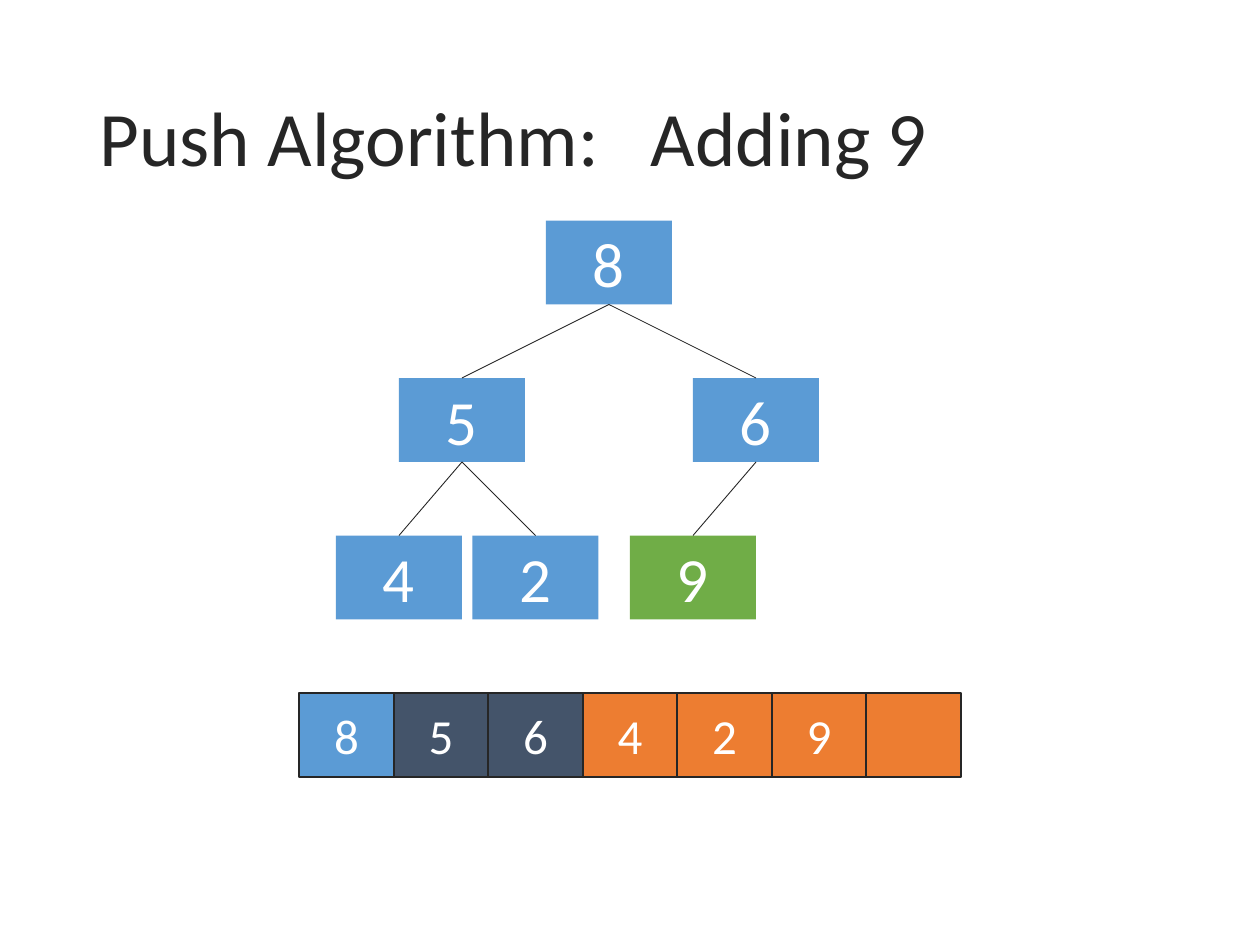
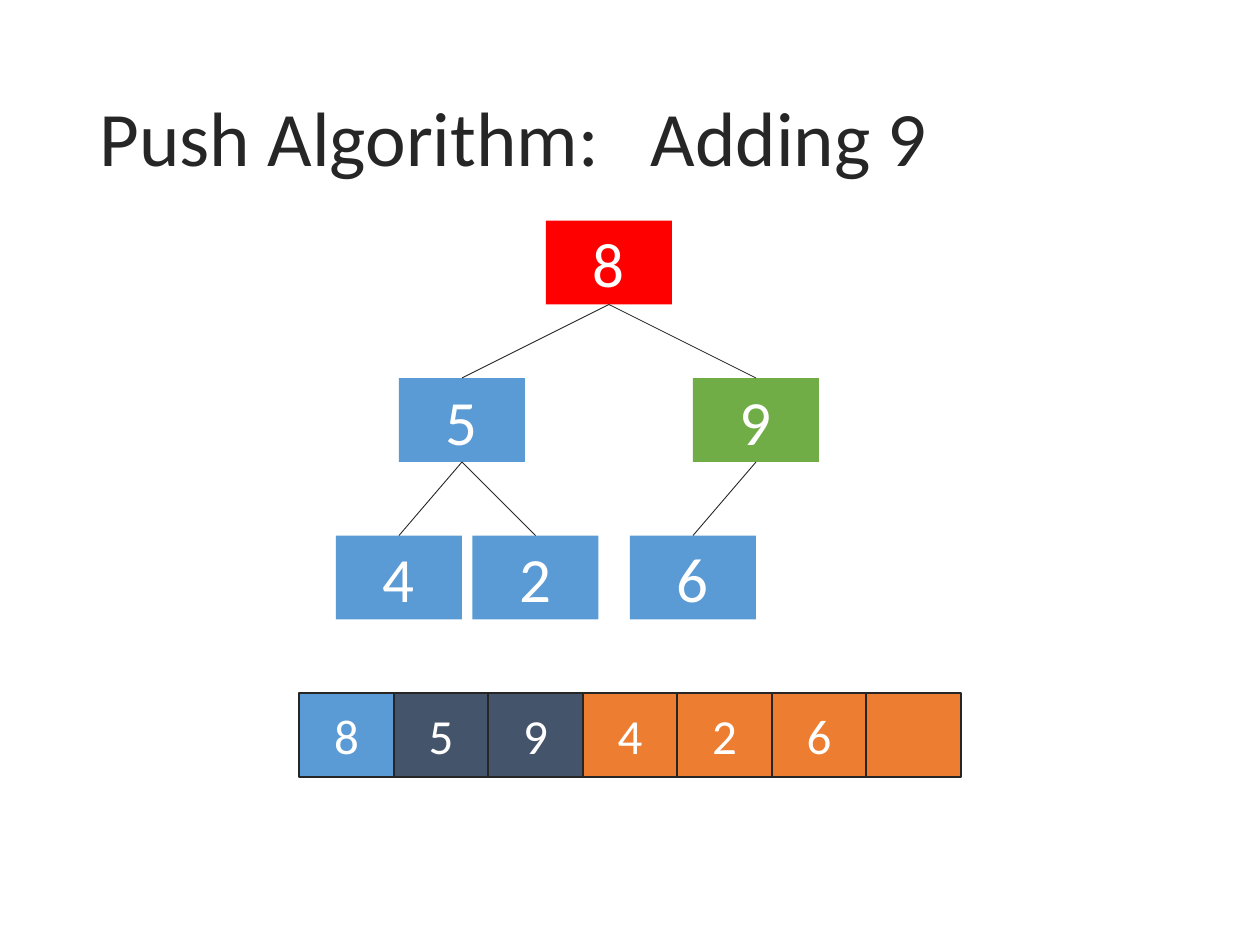
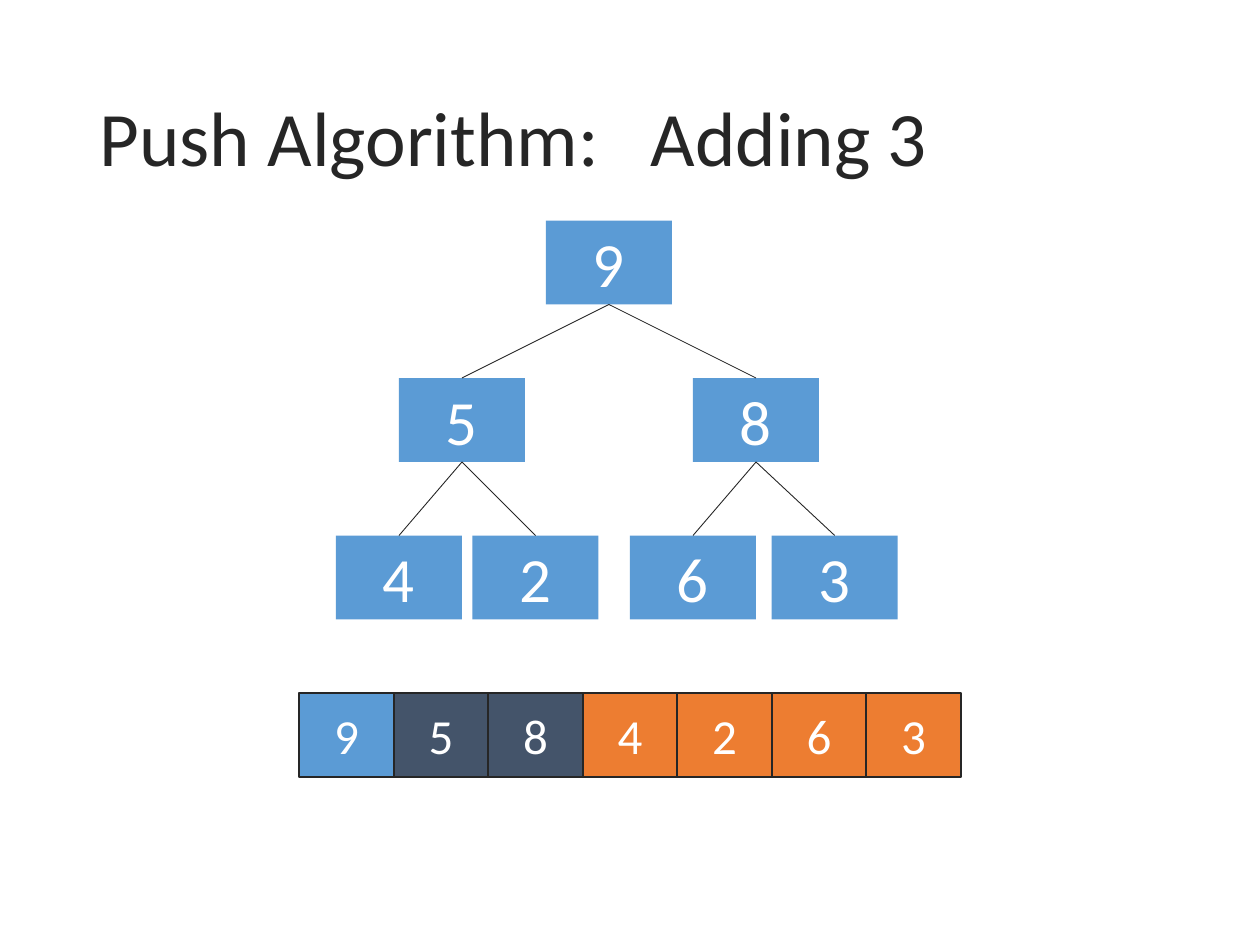
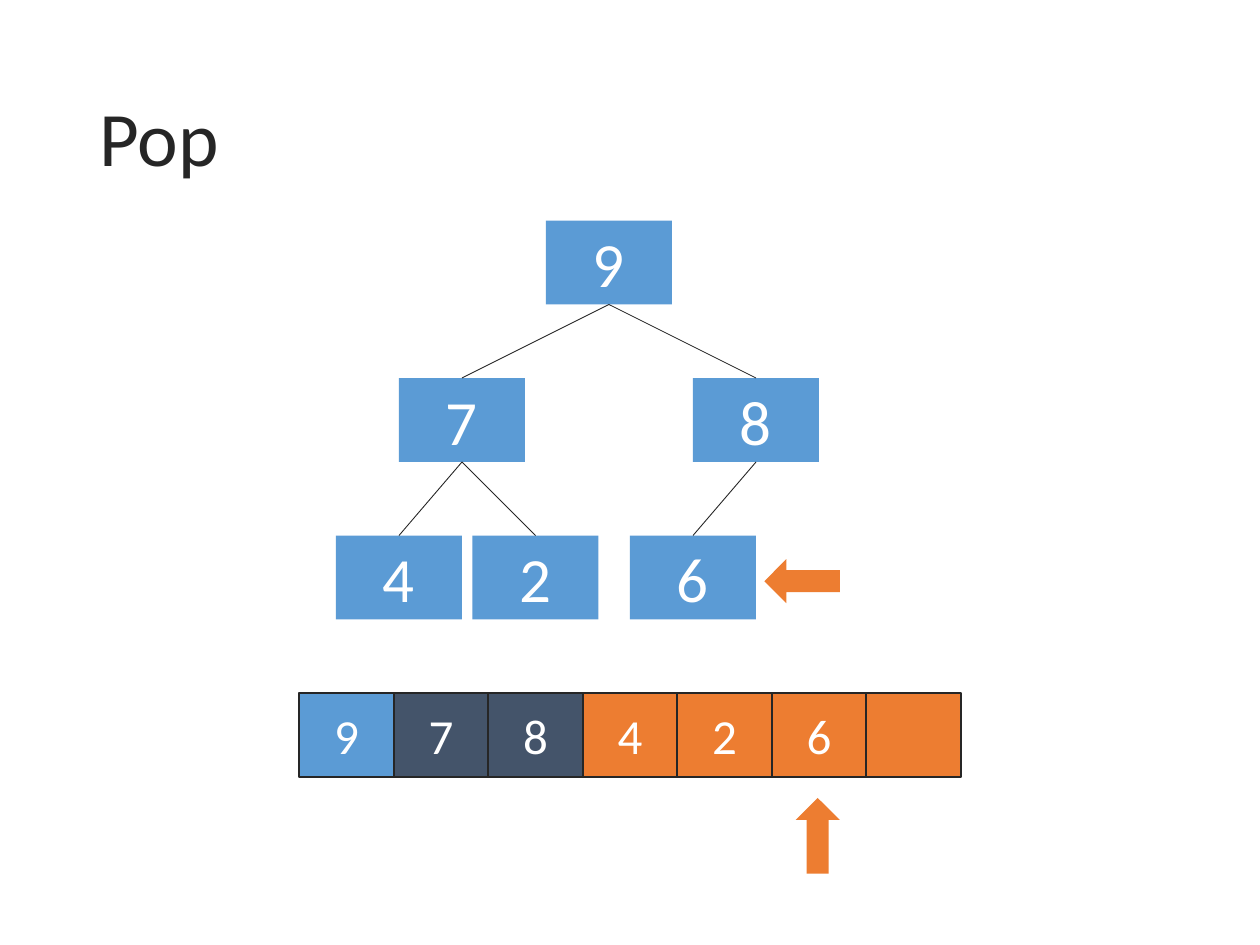
from lxml import etree
from pptx import Presentation
from pptx import util as u
from pptx.dml import color as dml
from pptx.enum import shapes, text
from pptx.oxml import ns

COLORS = {
    "root": "5B9BD5",
    "middle": "44546A",
    "leaf": "ED7D31",
    "added": "70AD47",
    "compared": "FF0000",
    "ink": "262626",
    "digit": "FFFFFF",
}
FONT = "Calibri"
COLUMNS, ROWS = 120, 90
WIDTH, HEIGHT = u.Inches(10), u.Inches(7.5)

TITLE_BOX = (8.28, 4.8, 103.44, 17.4)
TREE_BOX = (32, 21, 53.5, 38)
ARRAY_BOX = (28.5, 66, 63, 8)
NODE_SIZE = (12, 8)
LEVEL_STEP = 15
NODE_COLUMNS = (20, 6, 34, 0, 13, 28, 41.5)
ARROW_SIZE = (4.2, 7.2)
CAPACITY = len(NODE_COLUMNS)

STEPS = [
    {"heading": "Push Algorithm:   Adding 9", "heap": "856429", "marks": {5: "added"}},
    {"heading": "Push Algorithm:   Adding 9", "heap": "859426",
     "marks": {0: "compared", 2: "added"}},
    {"heading": "Push Algorithm:   Adding 3", "heap": "9584263"},
    {"heading": "Pop", "heap": "978426", "pointed": 5},
]


def place(left, top, width, height):
    return (round(WIDTH * left / COLUMNS), round(HEIGHT * top / ROWS),
            round(WIDTH * width / COLUMNS), round(HEIGHT * height / ROWS))


def rgb(name):
    return dml.RGBColor.from_string(COLORS[name])


def level_of(index):
    return (index + 1).bit_length() - 1


def write(holder, content, size=36, color="digit", align=text.PP_ALIGN.CENTER, spacing=None):
    frame = holder.text_frame
    frame.word_wrap = True
    frame.vertical_anchor = text.MSO_ANCHOR.MIDDLE
    paragraph = frame.paragraphs[0]
    paragraph.alignment = align
    paragraph.line_spacing = spacing
    run = paragraph.add_run()
    run.text = content
    run.font.name = FONT
    run.font.size = u.Pt(size)
    run.font.color.rgb = rgb(color)


def block(canvas, box, fill, preset=shapes.MSO_SHAPE.RECTANGLE, outline=None):
    figure = canvas.add_shape(preset, *place(*box))
    figure.shadow.inherit = False
    figure.fill.solid()
    figure.fill.fore_color.rgb = rgb(fill)
    if outline:
        figure.line.color.rgb = rgb("ink")
        figure.line.width = u.Pt(outline)
    else:
        figure.line.fill.background()
    return figure


def branch(canvas, child, parent):
    edge = canvas.add_connector(shapes.MSO_CONNECTOR.STRAIGHT, 0, 0, 0, 0)
    edge.begin_connect(child, 0)
    edge.end_connect(parent, 2)
    edge.line.color.rgb = rgb("ink")
    edge.line.width = u.Pt(0.5)
    properties = edge._element.find(ns.qn("p:spPr"))
    etree.SubElement(properties, ns.qn("a:effectLst"))


def heading(slide, box, content):
    title = slide.shapes.title
    title.left, title.top, title.width, title.height = place(*box)
    write(title, content, size=44, color="ink", align=text.PP_ALIGN.LEFT, spacing=0.9)


def node_box(box, index):
    return (box[0] + NODE_COLUMNS[index], box[1] + LEVEL_STEP * level_of(index), *NODE_SIZE)


def tree(slide, box, heap, marks):
    nodes = []
    for index, value in enumerate(heap):
        node = block(slide.shapes, node_box(box, index), marks.get(index, "root"))
        write(node, value)
        if index:
            branch(slide.shapes, node, nodes[(index - 1) // 2])
        nodes.append(node)


def array(slide, box, heap):
    left, top, width, height = box
    cell_width = width / CAPACITY
    cells = slide.shapes.add_group_shape().shapes
    for index in range(CAPACITY):
        level_color = ("root", "middle", "leaf")[level_of(index)]
        cell = block(cells, (left + index * cell_width, top, cell_width, height),
                     level_color, outline=1)
        if index < len(heap):
            write(cell, heap[index], size=28)


def arrow(slide, center, rotation=0):
    width, height = ARROW_SIZE
    box = (center[0] - width / 2, center[1] - height / 2, width, height)
    pointer = block(slide.shapes, box, "leaf", preset=shapes.MSO_SHAPE.UP_ARROW)
    pointer.rotation = rotation


def pointers(slide, index):
    length = ARROW_SIZE[1]
    cell_width = ARRAY_BOX[2] / CAPACITY
    arrow(slide, (ARRAY_BOX[0] + (index + 0.5) * cell_width - 0.12,
                  ARRAY_BOX[1] + ARRAY_BOX[3] + 2 + length / 2))
    left, top, width, height = node_box(TREE_BOX, index)
    arrow(slide, (left + width + 0.8 + length / 2, top + height / 2 + 0.35), rotation=270)


def heap_slide(deck, step):
    slide = deck.slides.add_slide(deck.slide_layouts[5])
    heading(slide, TITLE_BOX, step["heading"])
    tree(slide, TREE_BOX, step["heap"], step.get("marks", {}))
    array(slide, ARRAY_BOX, step["heap"])
    if "pointed" in step:
        pointers(slide, step["pointed"])


deck = Presentation()
deck.slide_width, deck.slide_height = WIDTH, HEIGHT
for step in STEPS:
    heap_slide(deck, step)
deck.save("out.pptx")
